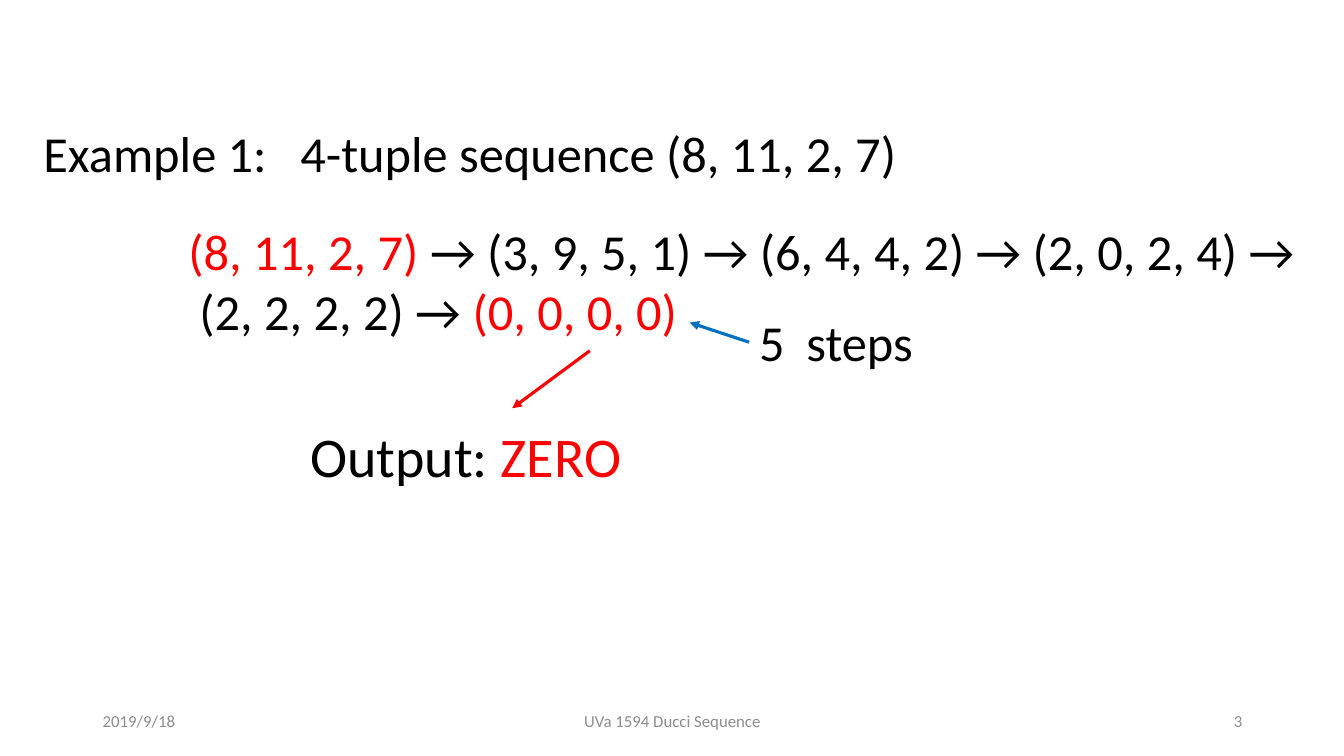
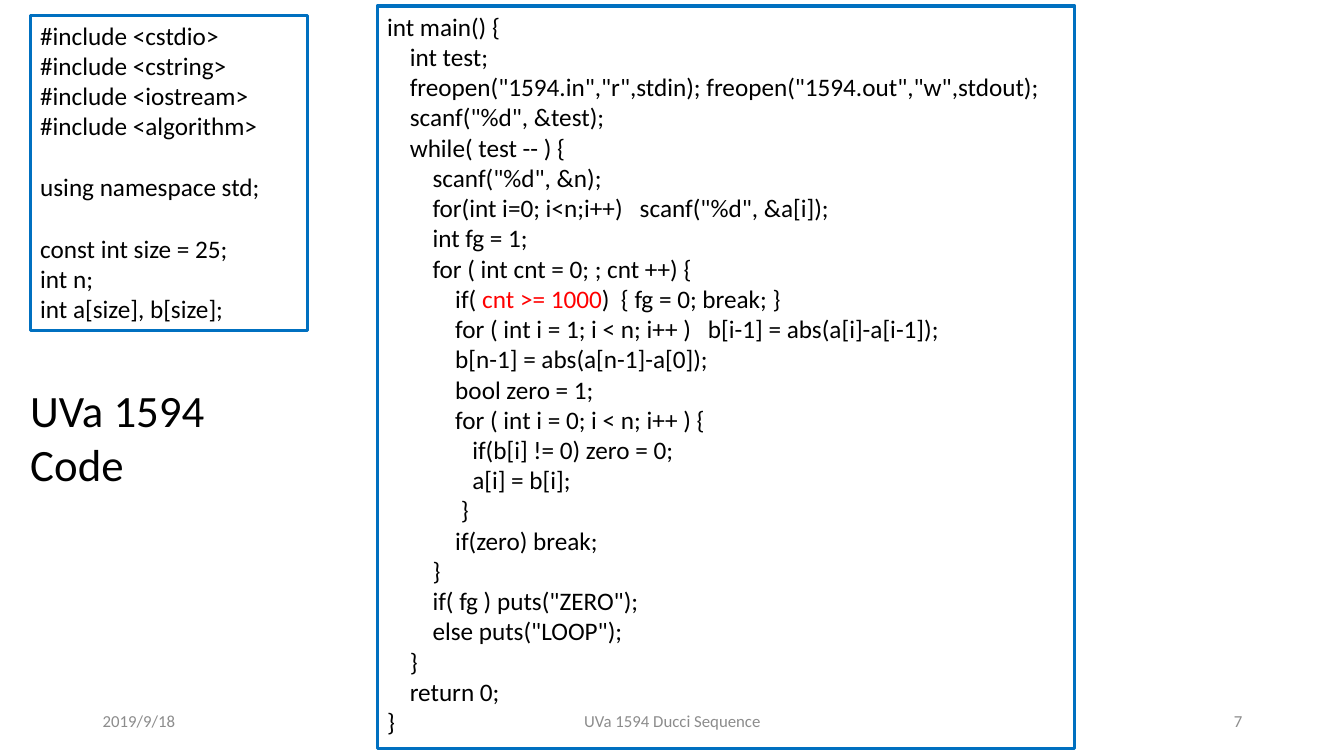
"""Build two slides on the Ducci sequence problem: a worked example and its code."""
import pptx
import pptx.dml.color
import pptx.enum.shapes
import pptx.enum.text
import pptx.oxml
import pptx.oxml.ns
import pptx.util
from pptx.util import Inches

COLORS = {"text": "000000", "accent": "FF0000", "frame": "0070C0", "footer": "8C8C8C"}
FONT = "Calibri"
FRAME_WIDTH = 2.25
CODE_SIZE = 18
CODE_LINE = 22
ALIGN = pptx.enum.text.PP_ALIGN
ANCHOR = pptx.enum.text.MSO_ANCHOR
FIT = pptx.enum.text.MSO_AUTO_SIZE

HEADER_CODE = """#include <cstdio>
#include <cstring>
#include <iostream>
#include <algorithm>

using namespace std;

const int size = 25;
int n;
int a[size], b[size];"""

MAIN_CODE = """int main() {
    int test;
    freopen("1594.in","r",stdin); freopen("1594.out","w",stdout);
    scanf("%d", &test);
    while( test -- ) {
        scanf("%d", &n);
        for(int i=0; i<n;i++)   scanf("%d", &a[i]);
        int fg = 1;
        for ( int cnt = 0; ; cnt ++) {
            if( cnt >= 1000)  { fg = 0; break; }
            for ( int i = 1; i < n; i++ )   b[i-1] = abs(a[i]-a[i-1]);
            b[n-1] = abs(a[n-1]-a[0]);
            bool zero = 1;
            for ( int i = 0; i < n; i++ ) {
               if(b[i] != 0) zero = 0;
               a[i] = b[i];
             }
            if(zero) break;
        }
        if( fg ) puts("ZERO");
        else puts("LOOP");
    }
    return 0;
}"""


def rgb(name):
    """Return the named palette colour."""
    return pptx.dml.color.RGBColor.from_string(COLORS[name])


def inches(*lengths):
    """Convert several lengths to inches."""
    return [Inches(length) for length in lengths]


def add_runs(paragraph, runs, size, align=ALIGN.LEFT):
    """Add (text, colour name) runs to a paragraph."""
    paragraph.alignment = align
    for text, color in runs:
        run = paragraph.add_run()
        run.text = text
        run.font.size = pptx.util.Pt(size)
        run.font.name = FONT
        run.font.color.rgb = rgb(color)


def set_indent(paragraph, indent):
    """Indent a whole paragraph from the left."""
    properties = paragraph._p.get_or_add_pPr()
    properties.set("marL", str(Inches(indent)))
    properties.set("indent", "0")


def set_tab(paragraph, position):
    """Give a paragraph one left tab stop."""
    tabs = pptx.oxml.parse_xml(
        f'<a:tabLst {pptx.oxml.ns.nsdecls("a")}>'
        f'<a:tab pos="{Inches(position)}" algn="l"/></a:tabLst>')
    paragraph._p.get_or_add_pPr().append(tabs)


def prepare_frame(shape, anchor=ANCHOR.TOP, fit=FIT.SHAPE_TO_FIT_TEXT):
    """Set wrapping, anchor and fit, and return the text frame."""
    frame = shape.text_frame
    frame.word_wrap = True
    frame.vertical_anchor = anchor
    frame.auto_size = fit
    return frame


def add_title(slide, box, text, size, tab=None):
    """Place and fill the title placeholder."""
    title = slide.shapes.title
    title.left, title.top, title.width, title.height = inches(*box)
    paragraph = prepare_frame(title).paragraphs[0]
    if tab:
        set_tab(paragraph, tab)
    add_runs(paragraph, [(text, "text")], size)


def add_text(slide, box, runs, size, tab=None):
    """Add a text box with one paragraph."""
    label = slide.shapes.add_textbox(*inches(*box))
    paragraph = prepare_frame(label).paragraphs[0]
    if tab:
        set_tab(paragraph, tab)
    add_runs(paragraph, runs, size)
    return label


def add_footer(slide, number):
    """Add the date, the deck name and the slide number."""
    parts = [(0.92, 3, "2019/9/18", ALIGN.LEFT),
             (4.42, 4.5, "UVa 1594 Ducci Sequence", ALIGN.CENTER),
             (9.42, 3, str(number), ALIGN.RIGHT)]
    for left, width, text, align in parts:
        part = slide.shapes.add_textbox(*inches(left, 6.95, width, 0.4))
        frame = prepare_frame(part, ANCHOR.MIDDLE, FIT.NONE)
        add_runs(frame.paragraphs[0], [(text, "footer")], 12, align)


def add_arrow(slide, start, end, color):
    """Add a straight arrow from start to end."""
    arrow = slide.shapes.add_connector(
        pptx.enum.shapes.MSO_CONNECTOR.STRAIGHT, *inches(*start, *end))
    arrow.line.color.rgb = rgb(color)
    arrow.line.width = pptx.util.Pt(FRAME_WIDTH)
    namespace = pptx.oxml.ns.nsdecls("a")
    arrow.line._get_or_add_ln().append(
        pptx.oxml.parse_xml(f'<a:tailEnd {namespace} type="triangle"/>'))
    arrow._element.spPr.append(pptx.oxml.parse_xml(f"<a:effectLst {namespace}/>"))
    return arrow


def add_code(slide, box, code, highlight=None):
    """Add a framed listing, turning empty lines into paragraph spacing."""
    listing = slide.shapes.add_shape(
        pptx.enum.shapes.MSO_SHAPE.RECTANGLE, *inches(*box))
    listing.shadow.inherit = False
    listing.fill.background()
    listing.line.color.rgb = rgb("frame")
    listing.line.width = pptx.util.Pt(FRAME_WIDTH)
    frame = prepare_frame(listing)
    paragraph, gap = None, 0
    for line in code.splitlines():
        if not line:
            gap += CODE_LINE
            continue
        paragraph = frame.add_paragraph() if paragraph else frame.paragraphs[0]
        if gap:
            paragraph.space_before = pptx.util.Pt(gap)
        gap = 0
        before, found, after = line.partition(highlight) if highlight else (line, "", "")
        runs = [(before, "text"), (found, "accent"), (after, "text")]
        add_runs(paragraph, [run for run in runs if run[0]], CODE_SIZE)


def new_slide(deck, number):
    """Add a title-only slide with the shared footer."""
    slide = deck.slides.add_slide(deck.slide_layouts[5])
    add_footer(slide, number)
    return slide


def build_example(deck):
    """Build the worked example of a 4-tuple."""
    slide = new_slide(deck, 3)
    add_title(slide, (0.33, 1.16, 9.44, 0.71),
              "Example 1:\t4-tuple sequence (8, 11, 2, 7)", 36, tab=2.55)
    sequence = add_text(slide, (1.77, 2.13, 11.44, 1.31), [
        ("(8, 11, 2, 7) ", "accent"),
        ("→ (3, 9, 5, 1) → (6, 4, 4, 2) → (2, 0, 2, 4) →", "text")], 36)
    ending = sequence.text_frame.add_paragraph()
    set_indent(ending, 0.11)
    add_runs(ending, [("(2, 2, 2, 2) → ", "text"), ("(0, 0, 0, 0)", "accent")], 36)
    add_text(slide, (2.98, 4.13, 3.77, 0.77),
             [("Output: ", "text"), ("ZERO", "accent")], 40)
    steps = add_text(slide, (7.43, 3.04, 1.74, 0.71),
                     [("5\tsteps", "text")], 36, tab=0.47)
    steps_arrow = add_arrow(slide, (7.43, 3.4), (6.84, 3.2), "frame")
    steps_arrow.begin_connect(steps, 1)
    add_arrow(slide, (5.85, 3.48), (5.08, 4.05), "accent")


def build_code(deck):
    """Build the slide with the program listing."""
    slide = new_slide(deck, 7)
    add_code(slide, (0.3, 0.15, 2.75, 3.13), HEADER_CODE)
    add_code(slide, (3.74, 0.06, 6.92, 7.37), MAIN_CODE, "cnt >= 1000")
    add_title(slide, (0.2, 3.75, 2.67, 1.18), "UVa 1594 Code", 32)


def main():
    """Build and save the deck."""
    deck = pptx.Presentation()
    deck.slide_width, deck.slide_height = inches(13.33, 7.5)
    build_example(deck)
    build_code(deck)
    deck.save("out.pptx")


if __name__ == "__main__":
    main()
